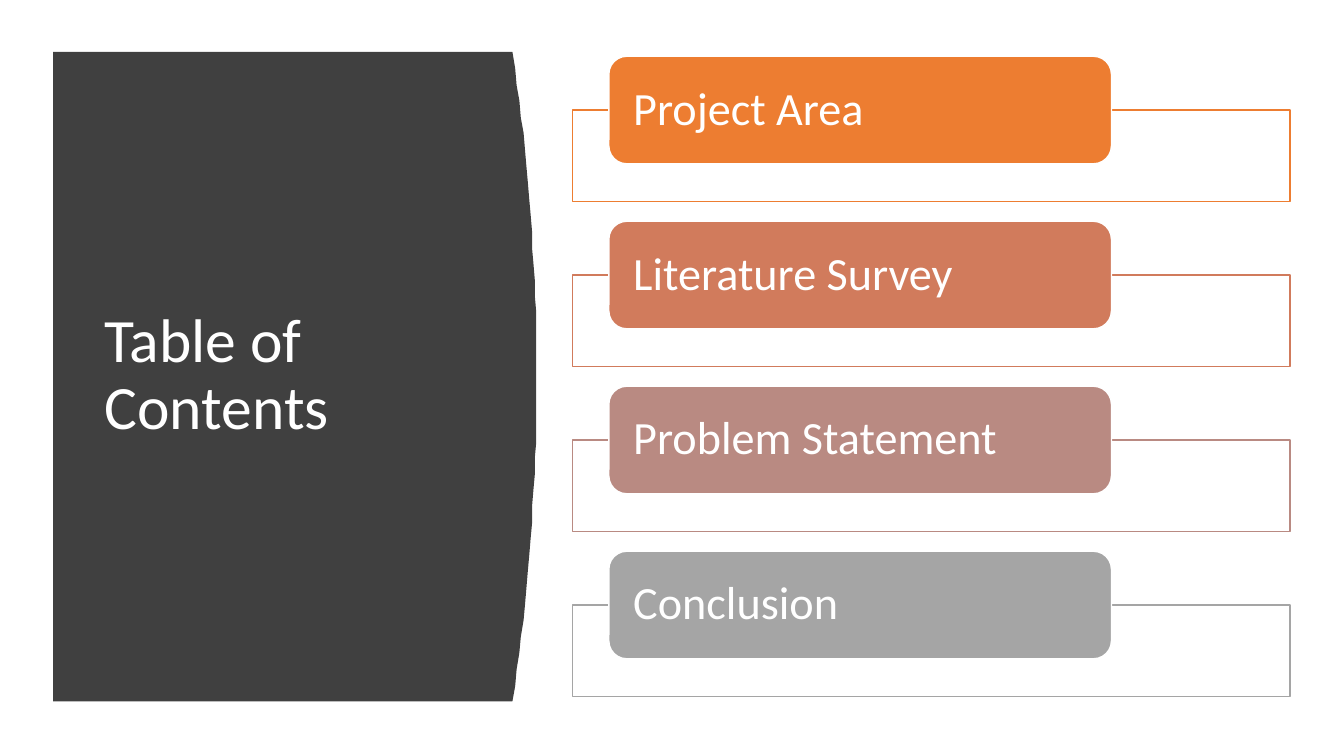
from lxml import etree
from pptx import Presentation
from pptx import util as u
from pptx.dml.color import RGBColor
from pptx.enum import shapes, text
from pptx.oxml.ns import qn

COLOURS = {
    "panel": "404040",
    "white": "FFFFFF",
    "orange": "ED7D31",
    "terracotta": "D17B5C",
    "rose": "B98A82",
    "grey": "A5A5A5",
}
FONT = "Calibri"
TOPICS = [
    ("Project Area", "orange"),
    ("Literature Survey", "terracotta"),
    ("Problem Statement", "rose"),
    ("Conclusion", "grey"),
]
ROW_TOP, ROW_PITCH = 40.2, 117.85
CURVE_STEPS = 40


def colour(name):
    return RGBColor.from_string(COLOURS[name])


def paint(shape, fill, line=None):
    shape.shadow.inherit = False
    shape.fill.solid()
    shape.fill.fore_color.rgb = colour(fill)
    if line:
        shape.line.color.rgb = colour(line)
        shape.line.width = u.Pt(1)
    else:
        shape.line.fill.background()


def write(shape, words, size, inset):
    frame = shape.text_frame
    frame.text = words
    frame.word_wrap = True
    frame.vertical_anchor = text.MSO_ANCHOR.MIDDLE
    frame.margin_left = frame.margin_right = u.Pt(inset)
    frame.margin_top = frame.margin_bottom = 0
    para = frame.paragraphs[0]
    para.alignment = text.PP_ALIGN.LEFT
    para.line_spacing = 0.9
    span = para.runs[0]
    span.font.name = FONT
    span.font.size = u.Pt(size)
    span.font.color.rgb = colour("white")


def add_box(page, kind, left, top, width, height):
    return page.shapes.add_shape(
        kind, u.Pt(left), u.Pt(top), u.Pt(width), u.Pt(height))


def add_curved_panel(page, left, top, edge, bottom, bulge):
    """Draw a panel whose right side is a parabola."""
    points = []
    for step in range(CURVE_STEPS + 1):
        t = step / CURVE_STEPS
        points.append((edge + bulge * 4 * t * (1 - t),
                       top + (bottom - top) * t))
    points.append((left, bottom))
    builder = page.shapes.build_freeform(left, top, scale=u.Pt(1))
    builder.add_line_segments(points, close=True)
    paint(builder.convert_to_shape(), "panel")


def add_title(page, words):
    box = page.shapes.add_textbox(u.Pt(67.7), u.Pt(80), u.Pt(269), u.Pt(377))
    write(box, words, 44, 7.2)


def add_topic(page, words, accent, top):
    # Outlined frame behind the tab
    frame = add_box(page, shapes.MSO_SHAPE.RECTANGLE, 409, top + 38.4, 512.6, 65.5)
    paint(frame, "white", accent)
    fill_colour = frame.fill._xPr.find(qn("a:solidFill"))[0]
    etree.SubElement(fill_colour, qn("a:alpha"), val="90000")

    # Coloured tab with its label
    tab = add_box(page, shapes.MSO_SHAPE.ROUNDED_RECTANGLE, 434.9, top, 359, 76.8)
    paint(tab, accent, "white")
    write(tab, words, 33, 13.7)


def main():
    deck = Presentation()
    deck.slide_width, deck.slide_height = u.Pt(960), u.Pt(540)
    page = deck.slides.add_slide(deck.slide_layouts[6])

    # Title panel
    add_curved_panel(page, left=38.2, top=37.4, edge=366, bottom=501.1, bulge=17.2)
    add_title(page, "Table of Contents")

    # Topics
    for row, (words, accent) in enumerate(TOPICS):
        add_topic(page, words, accent, ROW_TOP + row * ROW_PITCH)

    deck.save("out.pptx")


if __name__ == "__main__":
    main()
